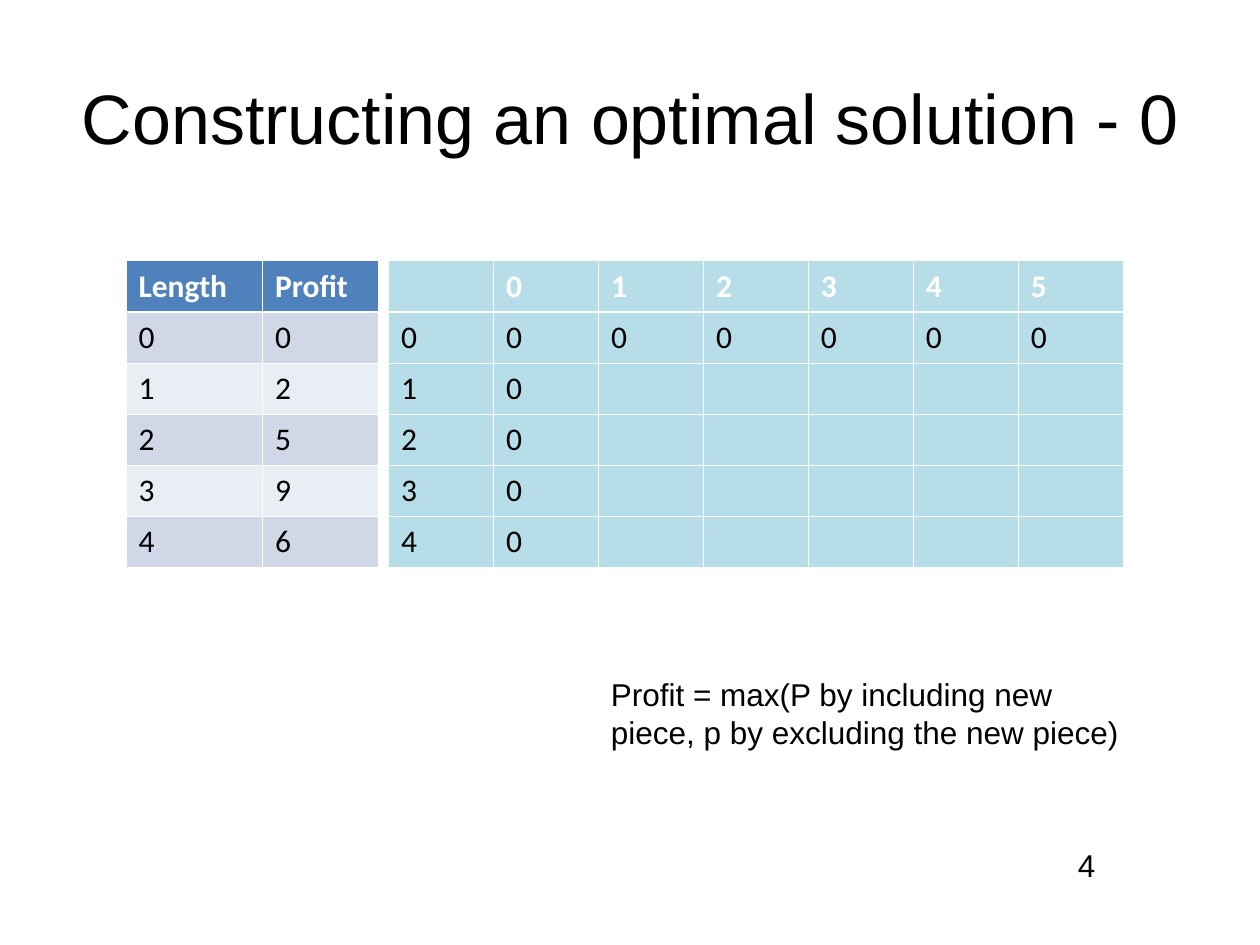
"""Build the slide that starts the optimal-solution table for rod cutting."""
from dataclasses import dataclass

from lxml.etree import SubElement
from pptx import Presentation
from pptx.dml.color import RGBColor as Color
from pptx.enum.text import MSO_ANCHOR as Anchor, MSO_AUTO_SIZE as AutoSize, PP_ALIGN as Align
from pptx.oxml.ns import qn
from pptx.slide import Slide
from pptx.table import _Cell as Cell
from pptx.text.text import TextFrame
from pptx.util import Pt


@dataclass(frozen=True)
class Theme:
    """Colours, fonts and type sizes of the slide."""
    ink: str = "000000"
    paper: str = "FFFFFF"
    header: str = "4F81BD"
    band_dark: str = "D0D8E8"
    band_light: str = "E9EDF4"
    grid: str = "B7DEE8"
    text_font: str = "Arial"
    table_font: str = "Calibri"
    title_size: float = 40
    body_size: float = 18
    thin_line: float = 0.45
    thick_line: float = 1.47


@dataclass(frozen=True)
class TableBlock:
    """A table with its place, column widths, fills and rows of text."""
    left: float
    widths: list[float]
    header_fill: str
    band_fills: tuple[str, str]
    rows: list[list[str]]


THEME = Theme()
TABLE_TOP = 149
ROW_HEIGHT = 29.2
LENGTHS = [0, 1, 2, 3, 4]
PROFITS = [0, 2, 5, 9, 6]
CAPACITIES = [0, 1, 2, 3, 4, 5]

PROFIT_TABLE = TableBlock(
    72, [78, 66], THEME.header, (THEME.band_dark, THEME.band_light),
    [["Length", "Profit"]] + [[str(length), str(profit)] for length, profit in zip(LENGTHS, PROFITS)],
)
SOLUTION_TABLE = TableBlock(
    222, [60] * 7, THEME.grid, (THEME.grid, THEME.grid),
    [["", *map(str, CAPACITIES)]]
    + [[str(length)] + ["0" if 0 in (length, capacity) else "" for capacity in CAPACITIES]
       for length in LENGTHS],
)


def write_text(frame: TextFrame, text: str, *, size: float = THEME.body_size,
               font: str = THEME.text_font, color: str = THEME.ink,
               bold: bool = False, align: Align = Align.LEFT) -> None:
    """Put one formatted paragraph into a text frame."""
    para = frame.paragraphs[0]
    para.alignment = align
    para.font.size = Pt(size)
    if text:
        span = para.add_run()
        span.text = text
        span.font.name = font
        span.font.size = Pt(size)
        span.font.bold = bold
        span.font.color.rgb = Color.from_string(color)


def add_border(cell: Cell, side: str, width: float) -> None:
    """Draw one side of a cell in the paper colour."""
    properties = cell._tc.get_or_add_tcPr()
    line = SubElement(properties, qn(f"a:ln{side}"), w=str(Pt(width)))
    fill = SubElement(line, qn("a:solidFill"))
    SubElement(fill, qn("a:srgbClr"), val=THEME.paper)


def format_cell(cell: Cell, text: str, row: int, block: TableBlock) -> None:
    """Give a cell its borders, fill and text by the row it stands in."""
    is_header = row == 0
    thick_side = {0: "B", 1: "T"}.get(row)
    for side in "LRTB":
        add_border(cell, side, THEME.thick_line if side == thick_side else THEME.thin_line)
    fill = block.header_fill if is_header else block.band_fills[(row - 1) % 2]
    cell.fill.solid()
    cell.fill.fore_color.rgb = Color.from_string(fill)
    cell.vertical_anchor = Anchor.MIDDLE
    write_text(cell.text_frame, text, font=THEME.table_font, bold=is_header,
               color=THEME.paper if is_header else THEME.ink)


def draw_table(page: Slide, block: TableBlock) -> None:
    """Draw a table block on the page."""
    row_count = len(block.rows)
    table = page.shapes.add_table(
        row_count, len(block.widths), Pt(block.left), Pt(TABLE_TOP),
        Pt(sum(block.widths)), Pt(ROW_HEIGHT * row_count),
    ).table
    for column, width in zip(table.columns, block.widths):
        column.width = Pt(width)
    for row, texts in enumerate(block.rows):
        table.rows[row].height = Pt(ROW_HEIGHT)
        for column, text in enumerate(texts):
            format_cell(table.cell(row, column), text, row, block)


def draw_text(page: Slide, text: str, left: float, top: float, width: float,
              height: float, align: Align = Align.LEFT) -> None:
    """Draw a wrapping text box on the page."""
    box = page.shapes.add_textbox(Pt(left), Pt(top), Pt(width), Pt(height))
    box.text_frame.word_wrap = True
    box.text_frame.auto_size = AutoSize.SHAPE_TO_FIT_TEXT
    write_text(box.text_frame, text, align=align)


def draw_title(page: Slide, text: str) -> None:
    """Place and fill the title placeholder."""
    title = page.shapes.title
    title.left, title.top, title.width, title.height = Pt(36), Pt(21.6), Pt(648), Pt(90)
    frame = title.text_frame
    frame.auto_size = AutoSize.NONE
    frame.vertical_anchor = Anchor.MIDDLE
    frame.margin_left = frame.margin_right = frame.margin_top = frame.margin_bottom = 0
    write_text(frame, text, size=THEME.title_size, align=Align.CENTER)


def main() -> None:
    """Build and save the deck."""
    deck = Presentation()
    deck.slide_width, deck.slide_height = Pt(720), Pt(540)
    page = deck.slides.add_slide(deck.slide_layouts[5])
    draw_title(page, "Constructing an optimal solution - 0")
    draw_table(page, SOLUTION_TABLE)
    draw_table(page, PROFIT_TABLE)
    draw_text(page, "Profit = max(P by including new piece, p by excluding the new piece)",
              342, 382.3, 318, 50.4)
    draw_text(page, "4", 570, 480.2, 102, 28.8, Align.CENTER)
    deck.save("out.pptx")


if __name__ == "__main__":
    main()
